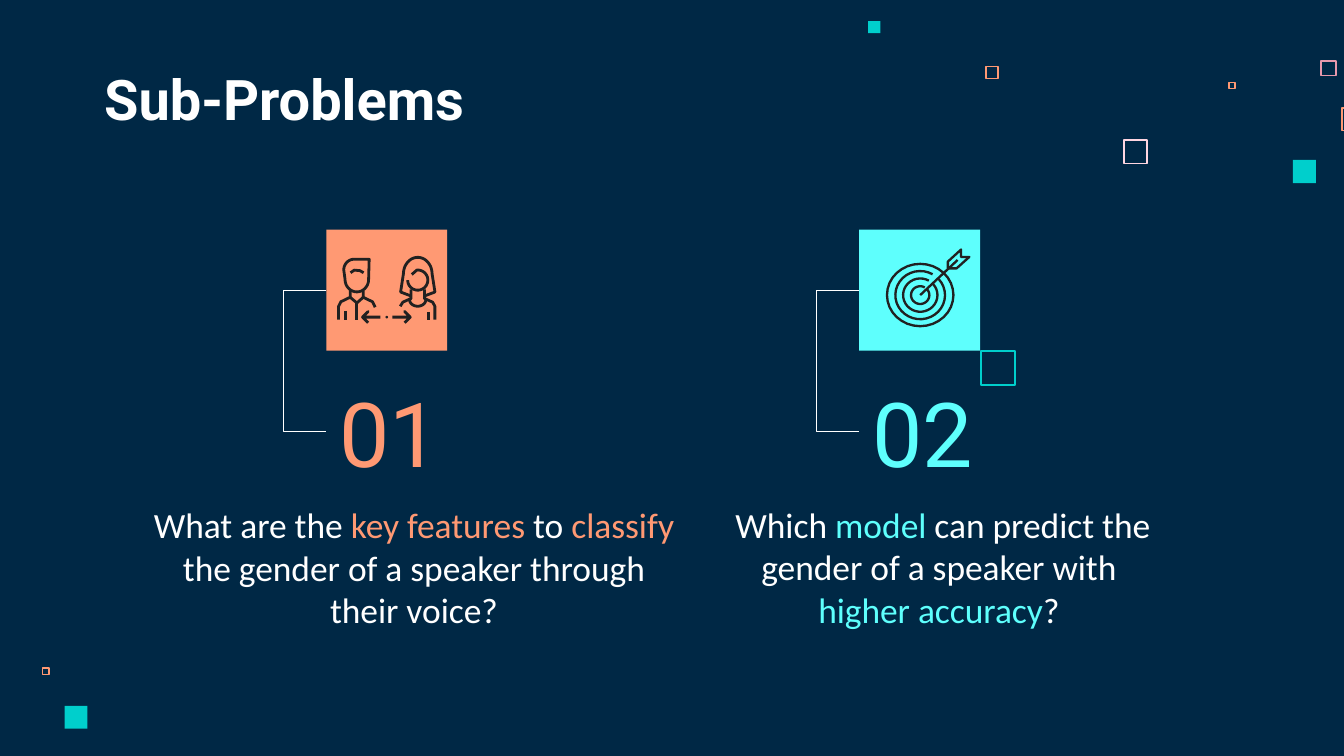
from math import cos, radians, sin

from lxml.etree import SubElement
from pptx import Presentation
from pptx.dml.color import RGBColor
from pptx.enum.shapes import MSO_CONNECTOR as CONN, MSO_SHAPE as SHAPE
from pptx.enum.text import MSO_ANCHOR as ANCHOR, MSO_AUTO_SIZE as AUTO, PP_ALIGN as ALIGN
from pptx.oxml.ns import qn
from pptx.util import Pt

NAVY = RGBColor(0x00, 0x28, 0x45)
WHITE = RGBColor(0xFF, 0xFF, 0xFF)
ORANGE = RGBColor(0xFF, 0x99, 0x73)
CYAN = RGBColor(0x5E, 0xFF, 0xFD)
TEAL = RGBColor(0x00, 0xCF, 0xCC)
PINK = RGBColor(0xFF, 0xD6, 0xE1)
ROSE = RGBColor(0xE8, 0x98, 0xAC)
INK = RGBColor(0x21, 0x21, 0x21)

TILE = 64.8
TILE_TOP = 123.1
STROKE = 1.5

# Decorative squares: left, top, size, colour
FRAMES = [
    (601.8, 74.7, 13.4, PINK), (707.4, 32.2, 8.8, ROSE), (658.1, 43.7, 4.3, ORANGE),
    (527.6, 35.1, 7.5, ORANGE), (22.3, 357.6, 4.3, ORANGE), (525.1, 187.7, 19, TEAL),
]
BLOCKS = [(692.6, 85.7, 12.4, TEAL), (465.1, 11.3, 6.5, TEAL), (34.7, 378.2, 12.2, TEAL)]


def add_block(s, x, y, size, color, shape=SHAPE.RECTANGLE):
    sp = s.shapes.add_shape(shape, Pt(x), Pt(y), Pt(size), Pt(size))
    sp.shadow.inherit = False
    sp.fill.solid()
    sp.fill.fore_color.rgb = color
    sp.line.fill.background()
    return sp


def add_frame(s, x, y, size, color, weight=1):
    """Hollow square whose border stays inside its bounds."""
    sp = add_block(s, x + weight / 2, y + weight / 2, size - weight, color)
    sp.fill.background()
    sp.line.color.rgb = color
    sp.line.width = Pt(weight)


def format_text(sp, runs, font, size, anchor, align=ALIGN.LEFT, bold=False):
    """Fill a text shape with one paragraph of (text, colour) runs."""
    tf = sp.text_frame
    tf.word_wrap = True
    tf.auto_size = AUTO.NONE
    tf.vertical_anchor = anchor
    tf.margin_left = tf.margin_right = tf.margin_top = tf.margin_bottom = Pt(7.2)
    p = tf.paragraphs[0]
    p.alignment = align
    for text, color in runs:
        r = p.add_run()
        r.text = text
        r.font.name, r.font.size, r.font.bold = font, Pt(size), bold
        r.font.color.rgb = color


def add_text(s, x, y, w, h, *args, **kwargs):
    format_text(s.shapes.add_textbox(Pt(x), Pt(y), Pt(w), Pt(h)), *args, **kwargs)


def add_title(s, text):
    sp = s.shapes.title
    sp.left, sp.top, sp.width, sp.height = Pt(48.6), Pt(32.4), Pt(360), Pt(45.4)
    format_text(sp, [(text, WHITE)], "Roboto", 30, ANCHOR.BOTTOM, bold=True)


def add_line(s, kind, start, end, color, weight):
    c = s.shapes.add_connector(kind, *(Pt(v) for v in (*start, *end)))
    c.line.color.rgb = color
    c.line.width = Pt(weight)
    SubElement(c._element.spPr, qn("a:effectLst"))
    return c


def add_bracket(s, x, y, reach=20.1, height=75.6):
    """Elbow connector that bends out to the left of x."""
    width = 0.05
    c = add_line(s, CONN.ELBOW, (x, y), (x + width, y + height), WHITE, 0.75)
    guides = c._element.spPr.find(qn("a:prstGeom")).find(qn("a:avLst"))
    bend = round(-reach / width * 100000)
    SubElement(guides, qn("a:gd"), name="adj1", fmla=f"val {bend}")


def arc(cx, cy, rx, ry, start, end, steps=32):
    """Points along an ellipse; degrees run clockwise from the right."""
    angles = [radians(start + (end - start) * i / steps) for i in range(steps + 1)]
    return [(cx + rx * cos(a), cy + ry * sin(a)) for a in angles]


def add_stroke(s, x, points, close=False, weight=STROKE, y=TILE_TOP, color=INK):
    """Unfilled outline, with points given relative to (x, y)."""
    pts = [(Pt(x + px), Pt(y + py)) for px, py in points]
    fb = s.shapes.build_freeform(*pts[0], scale=1.0)
    fb.add_line_segments(pts[1:], close=close)
    sp = fb.convert_to_shape()
    sp.shadow.inherit = False
    sp.fill.background()
    sp.line.color.rgb = color
    sp.line.width = Pt(weight)


def arrow(tail, tip, y, head=3):
    """Shaft and open head of a horizontal arrow, as one outline."""
    back = tip + head if tail > tip else tip - head
    return [(tail, y), (tip, y), (back, y - head), (tip, y), (back, y + head)]


def add_people_icon(s, x):
    # Man's head
    man = [(23, 15.8), *arc(14.9, 21.6, 5.5, 5.8, 270, 180), *arc(16.4, 26.6, 6.3, 6.7, 180, 0)]
    add_stroke(s, x, man, close=True)
    open_strokes = [
        # Man: fringe, shoulders, collar, creases
        [(13, 23), (15, 21.6), (18, 21.9), (20, 23)],
        [(6.6, 48.2), (6.6, 41), (7.8, 38.6), (12.8, 36.2), (12.8, 32.6)],
        [(19.8, 32.6), (19.8, 36.2), (24.8, 38.6), (26.2, 41.5)],
        [(12.8, 36.2), (16.4, 39.2), (19.8, 36.2)],
        [(16.4, 39.2), (16.4, 48.2)],
        [(10.2, 43.4), (10.2, 48.2)],
        # Woman: hair, face, shoulders, neckline, crease
        [(45.4, 35.5), (39.8, 33.4), *arc(49, 23.8, 7.7, 9, 180, 360), (58.2, 33.4), (52.6, 35.5)],
        [*arc(49, 27, 5.4, 5.4, 180, -95), (45.8, 24)],
        [(39.6, 41), (41, 38.8), (45.4, 36.8), (45.4, 32)],
        [(52.6, 32), (52.6, 36.8), (57, 38.8), (58.2, 41), (58.2, 48.2)],
        arc(49, 37.6, 4.3, 3.4, 180, 0),
        [(54.7, 44), (54.7, 48.2)],
        # Arrows pointing apart
        arrow(29, 19.4, 46.8),
        arrow(35.4, 45, 46.8),
    ]
    for points in open_strokes:
        add_stroke(s, x, points)
    add_block(s, x + 31.7, TILE_TOP + 46.1, 1.4, INK, SHAPE.OVAL)


def add_target_icon(s, x):
    cx, cy, weight = 32.7, 35, 1.25
    add_stroke(s, x, arc(cx, cy, 17.8, 16.7, 0, 360), close=True, weight=weight)
    for radius in (13.3, 9.2, 4.9):
        add_stroke(s, x, arc(cx, cy, radius, radius * 0.97, -42, 300), weight=weight)
    add_line(s, CONN.STRAIGHT, (x + cx, TILE_TOP + cy), (x + 52.7, TILE_TOP + 16.2), INK, weight)
    feather = [(47.5, 20.7), (47.5, 17.1), (54.6, 10.6), (54.6, 14.6), (59, 14.6), (52.2, 20.7)]
    add_stroke(s, x, feather, close=True, weight=weight)


def add_problem(s, x, number, color, add_icon, text_x, text_w, text_h, runs):
    """Icon tile, bracket, number and question of one column."""
    add_text(s, text_x, 262.3, text_w, text_h, runs, "Calibri", 19, ANCHOR.TOP, ALIGN.CENTER)
    add_text(s, x, 208.4, 138.2, 45.4, [(number, color)], "Roboto", 48, ANCHOR.MIDDLE)
    add_block(s, x, TILE_TOP, TILE, color)
    add_bracket(s, x, TILE_TOP + TILE / 2)
    add_icon(s, x)


def main():
    prs = Presentation()
    prs.slide_width, prs.slide_height = Pt(720), Pt(405)
    s = prs.slides.add_slide(prs.slide_layouts[5])
    s.background.fill.solid()
    s.background.fill.fore_color.rgb = NAVY

    # Decoration, with a square cut off by the right edge
    for frame in FRAMES:
        add_frame(s, *frame)
    for block in BLOCKS:
        add_block(s, *block)
    add_stroke(s, 718.8, [(1.2, 0), (0, 0), (0, 12), (1.2, 12)], weight=0.9, y=58, color=ORANGE)

    # Title and the two questions
    add_title(s, "Sub-Problems")
    add_problem(s, 174.8, "01", ORANGE, add_people_icon, 73.8, 296, 82, [
        ("What are the ", WHITE), ("key features", ORANGE), (" to ", WHITE),
        ("classify ", ORANGE), ("the gender of a speaker through their voice?", WHITE)])
    add_problem(s, 460.3, "02", CYAN, add_target_icon, 378, 250, 96.5, [
        (" Which ", WHITE), ("model", CYAN),
        (" can predict the gender of a speaker with ", WHITE),
        ("higher accuracy", CYAN), ("?", WHITE)])

    prs.save("out.pptx")


if __name__ == "__main__":
    main()
